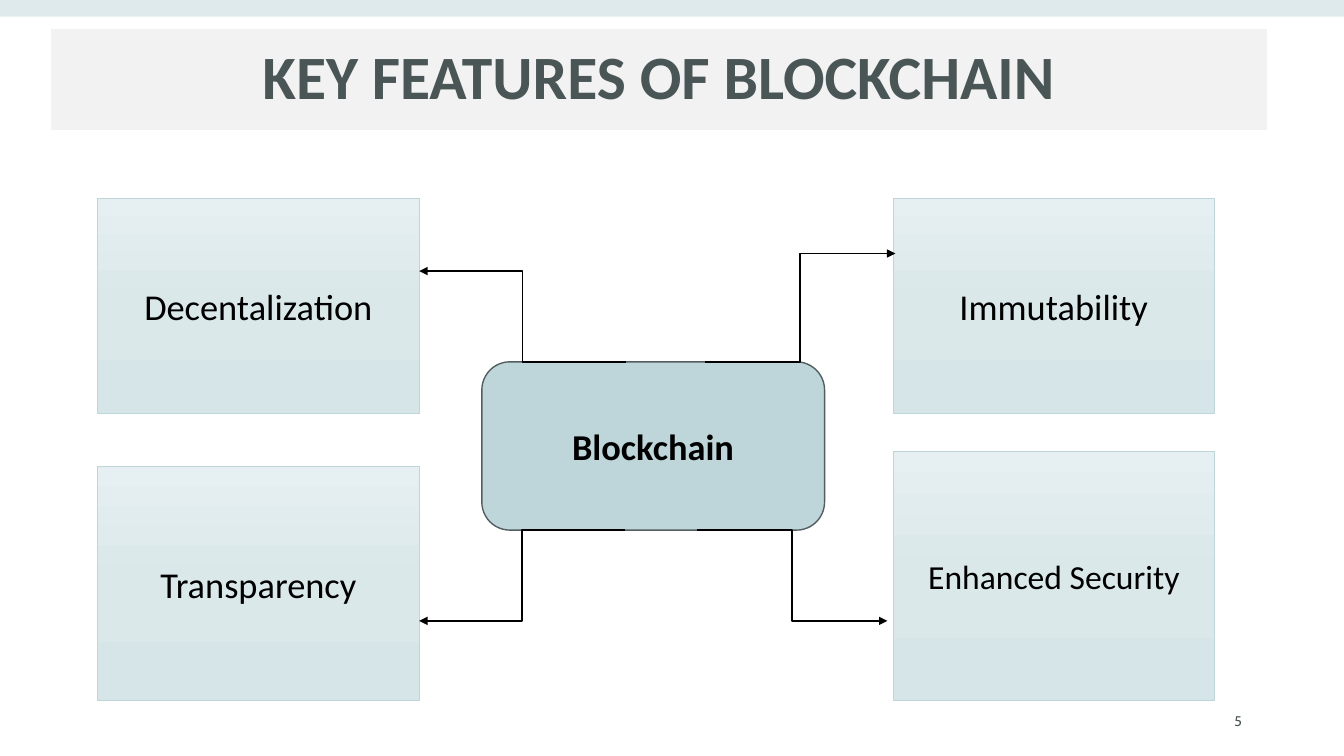
import collections
import copy

import pptx
import pptx.dml.color
import pptx.enum.shapes
import pptx.enum.text
import pptx.oxml
import pptx.oxml.ns
import pptx.util

Pt = pptx.util.Pt
Shape = pptx.enum.shapes.MSO_SHAPE
Align = pptx.enum.text.PP_ALIGN
Box = collections.namedtuple("Box", "left top width height")


class Theme:
    """Colours, fonts and type sizes of the deck."""
    accent, panel, slate, border, ink = "BED6DA", "F2F2F2", "4A5656", "535E60", "000000"
    gradient = ("E6EFF1", "DAE8EA", "D5E5E8")
    body_font, number_font = "Calibri", "Cabin"
    title_size, label_size, small_label_size, number_size = 44, 26, 24, 10


def colour(code):
    """Turn a hex code into a colour."""
    return pptx.dml.color.RGBColor.from_string(code)


def add_xml(parent, tag, **attributes):
    """Append a drawing element with the given attributes."""
    child = pptx.oxml.ns.qn(f"a:{tag}")
    element = parent.makeelement(child, attributes)
    parent.append(element)
    return element


def add_block(page, box, kind=Shape.RECTANGLE, fill=None, line=None, width=1):
    """Add a shape with a flat fill and an optional outline."""
    block = page.shapes.add_shape(kind, *map(Pt, box))
    block.shadow.inherit = False
    if fill:
        block.fill.solid()
        block.fill.fore_color.rgb = colour(fill)
    if line:
        block.line.color.rgb = colour(line)
        block.line.width = Pt(width)
    else:
        block.line.fill.background()
    return block


def write(shape, text, size, align=Align.CENTER, ink=Theme.ink, bold=False, font=Theme.body_font):
    """Write one vertically centred paragraph and return it."""
    frame = shape.text_frame
    frame.word_wrap = True
    frame.vertical_anchor = pptx.enum.text.MSO_ANCHOR.MIDDLE
    para = frame.paragraphs[0]
    para.alignment = align
    span = para.add_run()
    span.text = text
    for name, value in {"name": font, "size": Pt(size), "bold": bold}.items():
        setattr(span.font, name, value)
    span.font.color.rgb = colour(ink)
    return para


def add_top_band(page, box):
    """Add the translucent band along the top edge."""
    band = add_block(page, box, fill=Theme.accent)
    tint = band._element.spPr.find(".//" + pptx.oxml.ns.qn("a:srgbClr"))
    add_xml(tint, "alpha", val="50000")


def add_title(page, box, text):
    """Add the title panel."""
    panel = add_block(page, box, fill=Theme.panel)
    para = write(panel, text, Theme.title_size, ink=Theme.slate, bold=True)
    para.line_spacing = 0.9


def add_page_number(page, box, text):
    """Add the page number at the right of its box."""
    holder = page.shapes.add_textbox(*map(Pt, box))
    para = write(holder, text, Theme.number_size, Align.RIGHT, Theme.slate, font=Theme.number_font)
    para.runs[0].font._element.set("spc", "150")


def add_feature(page, box, text, size):
    """Add a feature card with a vertical gradient."""
    card = add_block(page, box, line=Theme.accent, width=0.5)
    card.fill.gradient()
    card.fill.gradient_angle = 270
    stops = card._element.spPr.find(".//" + pptx.oxml.ns.qn("a:gsLst"))
    stops.insert(1, copy.deepcopy(stops[0]))
    for stop, code, position in zip(card.fill.gradient_stops, Theme.gradient, (0, 0.5, 1)):
        stop.color.rgb = colour(code)
        stop.position = position
    write(card, text, size)


def add_arrow(page, start, end):
    """Add an elbow arrow between two points."""
    elbow = pptx.enum.shapes.MSO_CONNECTOR.ELBOW
    arrow = page.shapes.add_connector(elbow, *map(Pt, start + end))
    arrow.line.color.rgb = colour(Theme.ink)
    arrow.line.width = Pt(1)
    add_xml(arrow.line._get_or_add_ln(), "tailEnd", type="triangle")
    add_xml(arrow._element.spPr, "effectLst")


def add_feature_map(page, box):
    """Add the four cards, the hub between them and its arrows."""
    card_width = 229.7
    right = box.left + box.width - card_width
    bottom = box.top + box.height
    cards = (
        ("Decentalization", box.left, box.top, 153.4, Theme.label_size),
        ("Immutability", right, box.top, 153.4, Theme.label_size),
        ("Transparency", box.left, bottom - 167, 167, Theme.label_size),
        ("Enhanced Security", right, bottom - 177.8, 177.8, Theme.small_label_size),
    )
    for text, left, top, height, size in cards:
        add_feature(page, Box(left, top, card_width, height), text, size)

    hub = Box(box.left + 274.4, box.top + 116.7, 244.8, 120.2)
    block = add_block(page, hub, Shape.ROUNDED_RECTANGLE, Theme.accent, Theme.border)
    write(block, "Blockchain", Theme.label_size, bold=True)

    hub_bottom = hub.top + hub.height
    card_edge = box.left + card_width
    arrows = (
        (hub.left + 103.2, hub.top, card_edge, -64.8),
        (hub.left + 102.2, hub_bottom, card_edge, 64.8),
        (hub.left + 153.4, hub_bottom, right - 4, 64.8),
        (hub.left + 159.1, hub.top, right + 1.6, -77.4),
    )
    for start, edge, end, rise in arrows:
        add_arrow(page, (start, edge), (end, edge + rise))


def main():
    """Build and save the deck."""
    deck = pptx.Presentation()
    for name, value in {"slide_width": Pt(960), "slide_height": Pt(540)}.items():
        setattr(deck, name, value)
    page = deck.slides.add_slide(deck.slide_layouts[6])
    add_top_band(page, Box(0, 0, 960, 12))
    add_title(page, Box(36.6, 20.9, 868.3, 72), "KEY FEATURES OF BLOCKCHAIN")
    add_page_number(page, Box(678.2, 500.4, 216, 28.8), "5")
    add_feature_map(page, Box(69.8, 141.8, 797.8, 358.6))
    deck.save("out.pptx")


if __name__ == "__main__":
    main()
